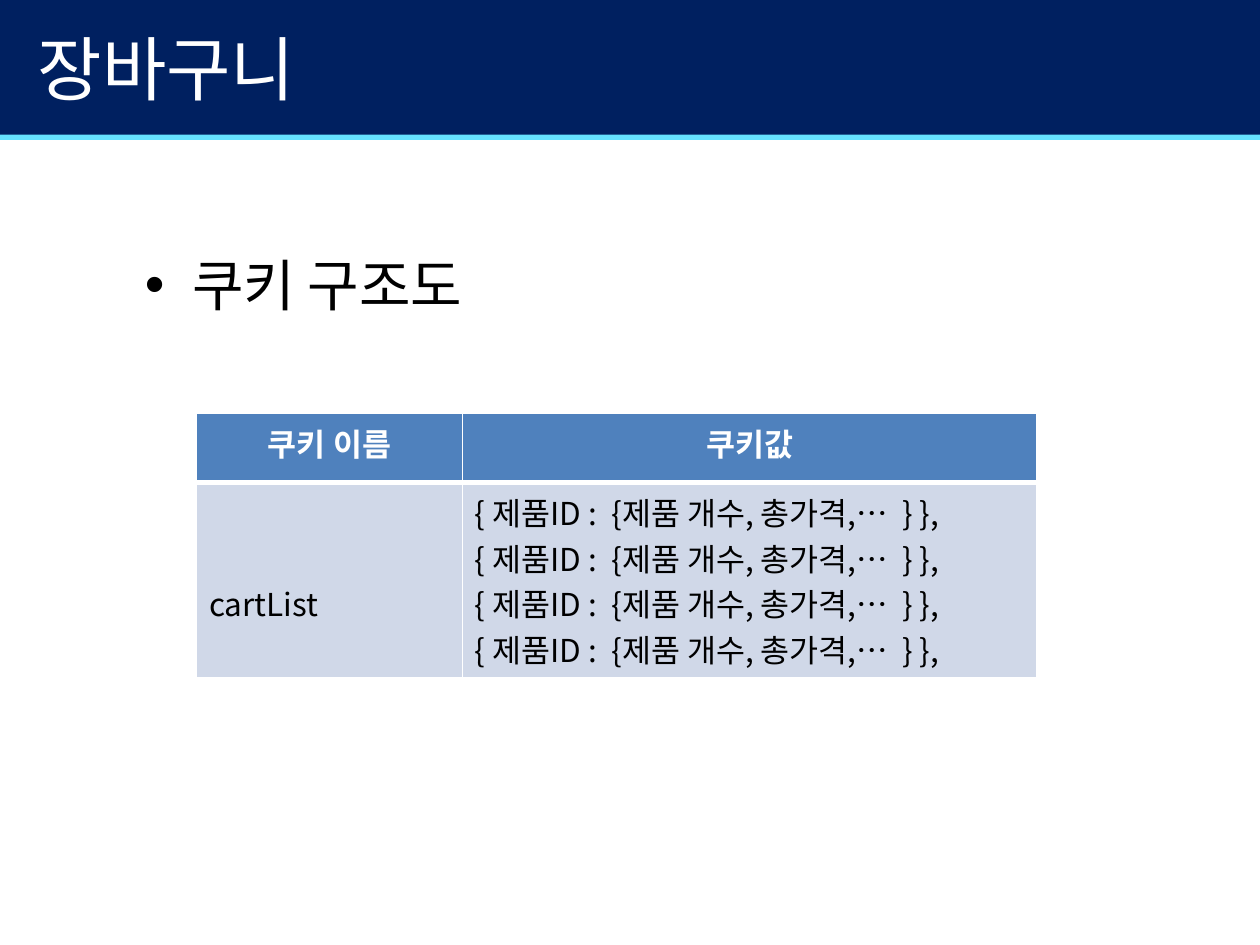
"""Build the shopping cart cookie structure slide."""
from dataclasses import dataclass

import lxml.etree
import pptx
import pptx.dml.color
import pptx.enum.shapes
import pptx.enum.text
import pptx.oxml.ns
import pptx.util

Inches = pptx.util.Inches
ALIGN = pptx.enum.text.PP_ALIGN
ANCHOR = pptx.enum.text.MSO_ANCHOR
FONT = "Noto Sans CJK KR"
COLORS = {
    "banner": "002060",
    "accent": "65E2FF",
    "header": "4F81BD",
    "row": "D0D8E8",
    "white": "FFFFFF",
    "black": "000000",
}


@dataclass
class Bar:
    top: float
    height: float
    color: str


@dataclass
class Entry:
    lines: list[str]
    fill: str
    color: str
    bold: bool
    align: ALIGN
    borders: dict[str, float]
    margin_top: float = 0.05


def rgb(name: str) -> pptx.dml.color.RGBColor:
    return pptx.dml.color.RGBColor.from_string(COLORS[name])


def add_run(paragraph, text: str, size: float, color: str, bold: bool = False) -> None:
    run = paragraph.add_run()
    run.text = text
    run.font.size = pptx.util.Pt(size)
    run.font.bold = bold
    run.font.color.rgb = rgb(color)
    run.font.name = FONT
    east_asian = lxml.etree.SubElement(run.font._element, pptx.oxml.ns.qn("a:ea"))
    east_asian.set("typeface", FONT)


def draw_bar(slide, bar: Bar, layer: int) -> None:
    shape = slide.shapes.add_shape(
        pptx.enum.shapes.MSO_SHAPE.RECTANGLE,
        Inches(-0.01), Inches(bar.top), Inches(10.01), Inches(bar.height),
    )
    shape.shadow.inherit = False
    shape.fill.solid()
    shape.fill.fore_color.rgb = rgb(bar.color)
    shape.line.fill.background()
    slide.shapes._spTree.insert(2 + layer, shape._element)


def fill_placeholder(holder, box: tuple, text: str, size: float, color: str, anchor: ANCHOR) -> None:
    holder.left, holder.top, holder.width, holder.height = map(Inches, box)
    holder.text_frame.vertical_anchor = anchor
    paragraph = holder.text_frame.paragraphs[0]
    paragraph.alignment = ALIGN.LEFT
    add_run(paragraph, text, size, color)


def set_borders(cell, widths: dict[str, float]) -> None:
    qn = pptx.oxml.ns.qn
    properties = cell._tc.get_or_add_tcPr()
    for side, width in widths.items():
        line = lxml.etree.SubElement(properties, qn(f"a:ln{side}"), w=str(pptx.util.Pt(width)))
        solid = lxml.etree.SubElement(line, qn("a:solidFill"))
        lxml.etree.SubElement(solid, qn("a:srgbClr"), val=COLORS["white"])


def fill_cell(cell, entry: Entry) -> None:
    set_borders(cell, entry.borders)
    cell.fill.solid()
    cell.fill.fore_color.rgb = rgb(entry.fill)
    cell.margin_top = Inches(entry.margin_top)
    frame = cell.text_frame
    for index, line in enumerate(entry.lines):
        paragraph = frame.add_paragraph() if index else frame.paragraphs[0]
        paragraph.alignment = entry.align
        add_run(paragraph, line, 18, entry.color, entry.bold)


def header(text: str) -> Entry:
    borders = {"L": 1, "R": 1, "T": 1, "B": 3}
    return Entry([text], "header", "white", True, ALIGN.CENTER, borders)


def value(lines: list[str], margin_top: float = 0.05) -> Entry:
    borders = {"L": 1, "R": 1, "T": 3, "B": 1}
    return Entry(lines, "row", "black", False, ALIGN.LEFT, borders, margin_top)


def draw_cookie_table(slide, rows: list[list[Entry]]) -> None:
    widths, heights = (2.11, 4.56), (0.55, 1.48)
    table = slide.shapes.add_table(
        len(heights), len(widths), Inches(1.56), Inches(3.28),
        Inches(sum(widths)), Inches(sum(heights)),
    ).table
    for column, width in zip(table.columns, widths):
        column.width = Inches(width)
    for row, height, entries in zip(table.rows, heights, rows):
        row.height = Inches(height)
        for cell, entry in zip(row.cells, entries):
            fill_cell(cell, entry)


def main() -> None:
    deck = pptx.Presentation()
    deck.slide_width, deck.slide_height = Inches(10), Inches(7.5)
    slide = deck.slides.add_slide(deck.slide_layouts[1])
    bars = [Bar(1.06, 0.05, "accent"), Bar(0, 1.07, "banner")]
    for layer, bar in enumerate(bars):
        draw_bar(slide, bar, layer)
    fill_placeholder(
        slide.shapes.title, (0.2, -0.09, 9, 1.25), "장바구니", 40, "white", ANCHOR.MIDDLE
    )
    fill_placeholder(
        slide.placeholders[1], (1.05, 1.94, 7.9, 4.41), "쿠키 구조도", 32, "black", ANCHOR.TOP
    )
    product = "{ 제품ID :  {제품 개수, 총가격,…  } },"
    draw_cookie_table(slide, [
        [header("쿠키 이름"), header("쿠키값")],
        [value(["cartList"], margin_top=0.77), value([product] * 4)],
    ])
    deck.save("out.pptx")


if __name__ == "__main__":
    main()
